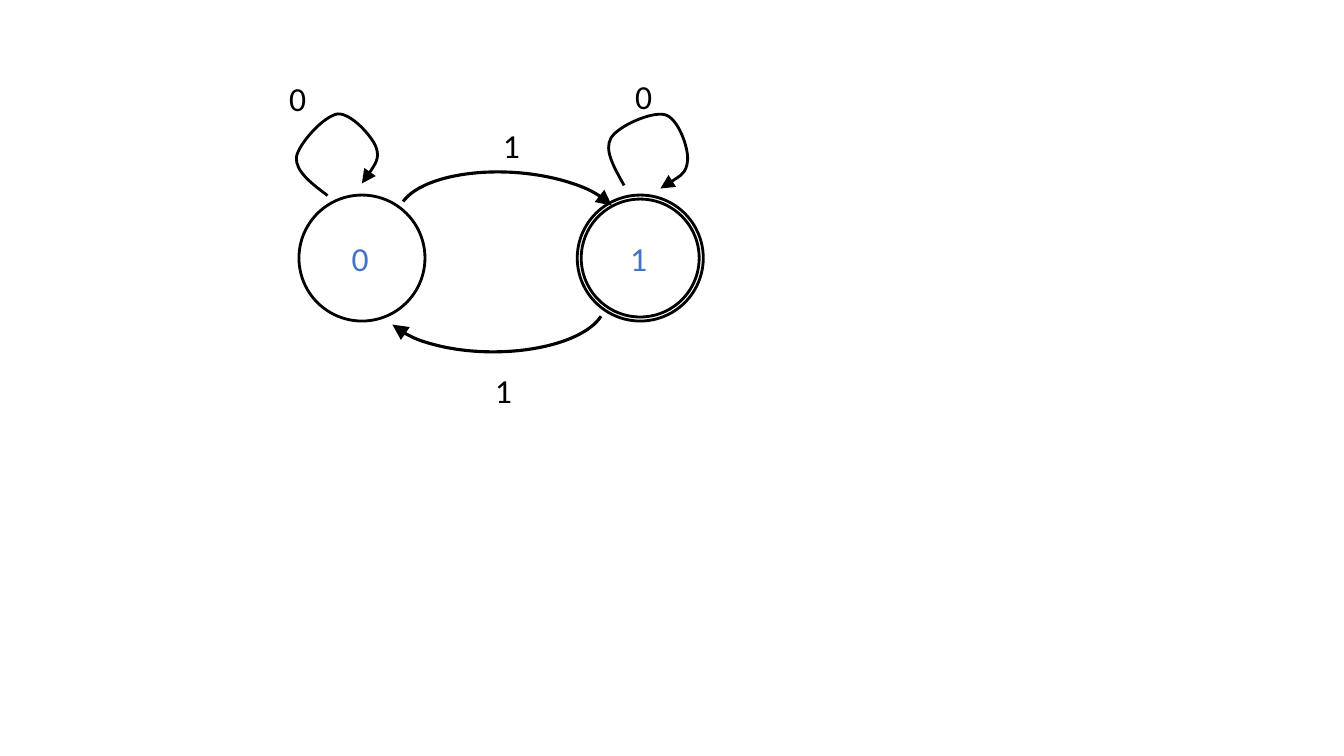
from dataclasses import dataclass

from lxml import etree
from pptx import Presentation
from pptx import util as u
from pptx.dml.color import RGBColor
from pptx.enum import shapes, text
from pptx.oxml.ns import qn

# Slide grid: 13.33 columns by 7.5 rows of one inch
COLS, ROWS = 13.33, 7.5


@dataclass(frozen=True)
class Theme:
    ink: RGBColor = RGBColor(0x00, 0x00, 0x00)
    state: RGBColor = RGBColor(0x44, 0x72, 0xC4)
    font: str = "Calibri"
    size: float = 24
    line: float = 2
    arc: float = 2.25


THEME = Theme()


def grid(*cells):
    return [u.Inches(c) for c in cells]


def style(shape, width, arrow=False):
    """Outline without fill, with an arrowhead at its end if asked."""
    shape.shadow.inherit = False
    shape.fill.background()
    shape.line.color.rgb = THEME.ink
    shape.line.width = u.Pt(width)
    if arrow:
        line = shape.line._get_or_add_ln()
        etree.SubElement(line, qn("a:tailEnd"), type="triangle", w="lg", len="lg")


def ring(slide, x, y, size):
    box = grid(x - size / 2, y - size / 2, size, size)
    style(slide.shapes.add_shape(shapes.MSO_SHAPE.OVAL, *box), THEME.line)


def label(slide, words, x, y, color):
    box = slide.shapes.add_textbox(*grid(x, y, 0.61, 0.5))
    frame = box.text_frame
    frame.word_wrap = True
    frame.auto_size = text.MSO_AUTO_SIZE.SHAPE_TO_FIT_TEXT
    run = frame.paragraphs[0].add_run()
    run.text = words
    look = {"name": THEME.font, "size": u.Pt(THEME.size)}
    for key, value in look.items():
        setattr(run.font, key, value)
    run.font.color.rgb = color


def arc(slide, x, y, turn):
    """Arched arrow between the two states."""
    shape = slide.shapes.add_shape(shapes.MSO_SHAPE.ARC, *grid(x, y, 2.22, 0.96))
    for i, angle in enumerate((112.04, 208.88)):
        shape.adjustments[i] = angle
    shape.rotation = turn
    style(shape, THEME.arc, arrow=True)


def loop(slide, start, *points):
    """Curved arrow; each three points make one cubic segment."""
    pen = slide.shapes.build_freeform(*grid(*start))
    pen.add_line_segments([grid(*point) for point in points], close=False)
    shape = pen.convert_to_shape()
    steps = list(shape._element.iter(qn("a:lnTo")))
    for i in range(0, len(steps), 3):
        curve = etree.Element(qn("a:cubicBezTo"))
        steps[i].addprevious(curve)
        for step in steps[i:i + 3]:
            curve.append(step[0])
            step.getparent().remove(step)
    style(shape, THEME.line, arrow=True)


def main():
    deck = Presentation()
    deck.slide_width, deck.slide_height = grid(COLS, ROWS)
    slide = deck.slides.add_slide(deck.slide_layouts[6])

    # States; the accepting one has a double ring
    mid = 2.56
    for name, x, sizes in (("0", 3.59, [1.25]), ("1", 6.35, [1.25, 1.17])):
        for size in sizes:
            ring(slide, x, mid, size)
        label(slide, name, x - 0.2, mid - 0.25, THEME.state)

    # Moves between the states
    arc(slide, 3.95, 1.71, 3.4)
    arc(slide, 3.78, 2.53, 180)

    # Moves from a state to itself
    loop(slide, (3.25, 1.94),
         (3.09, 1.82), (2.93, 1.7), (2.94, 1.56),
         (2.96, 1.43), (3.21, 1.15), (3.35, 1.13),
         (3.48, 1.12), (3.69, 1.35), (3.73, 1.46),
         (3.77, 1.57), (3.68, 1.7), (3.59, 1.82))
    loop(slide, (6.19, 1.84),
         (6.09, 1.66), (5.99, 1.49), (6.06, 1.37),
         (6.13, 1.25), (6.47, 1.1), (6.6, 1.14),
         (6.73, 1.18), (6.83, 1.47), (6.82, 1.59),
         (6.81, 1.72), (6.68, 1.79), (6.55, 1.87))

    # Input symbols
    for sign, x, y in (("1", 4.89, 1.19), ("1", 4.81, 3.62),
                       ("0", 2.77, 0.72), ("0", 6.2, 0.7)):
        label(slide, sign, x, y, THEME.ink)

    deck.save("out.pptx")


if __name__ == "__main__":
    main()
